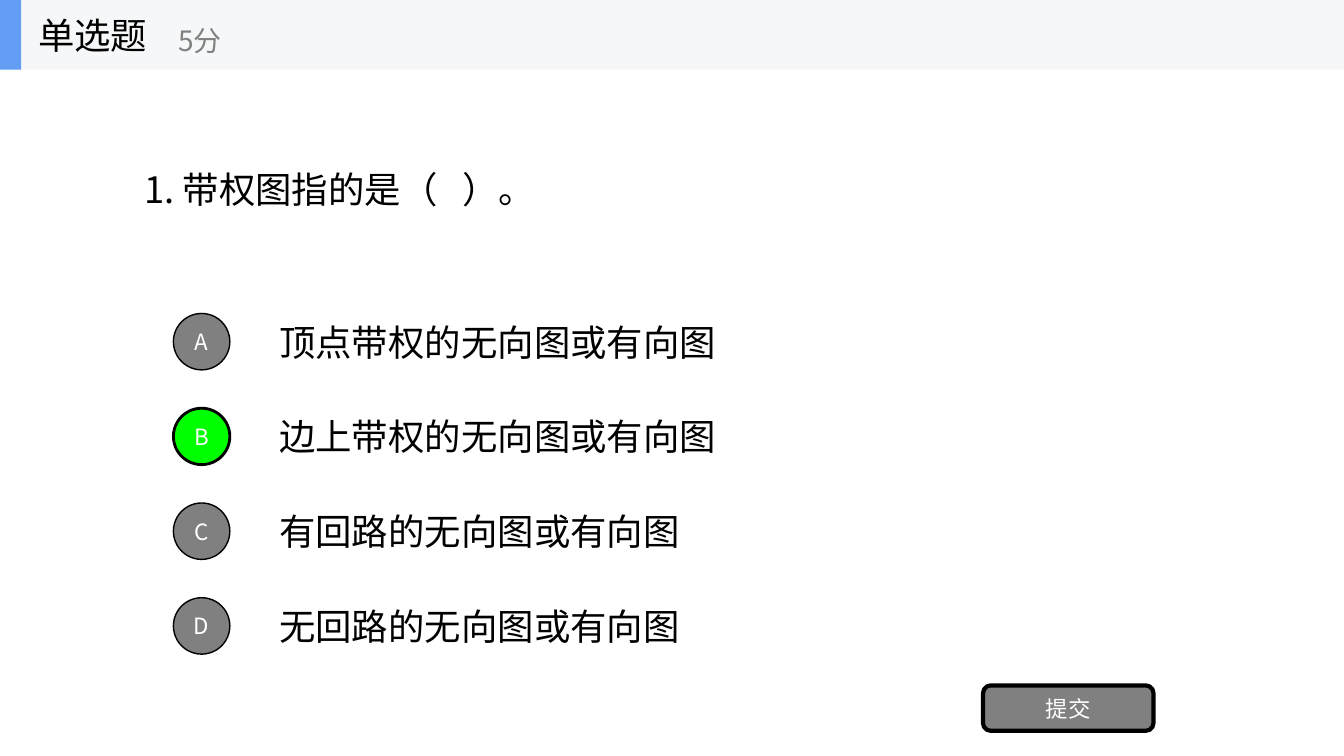
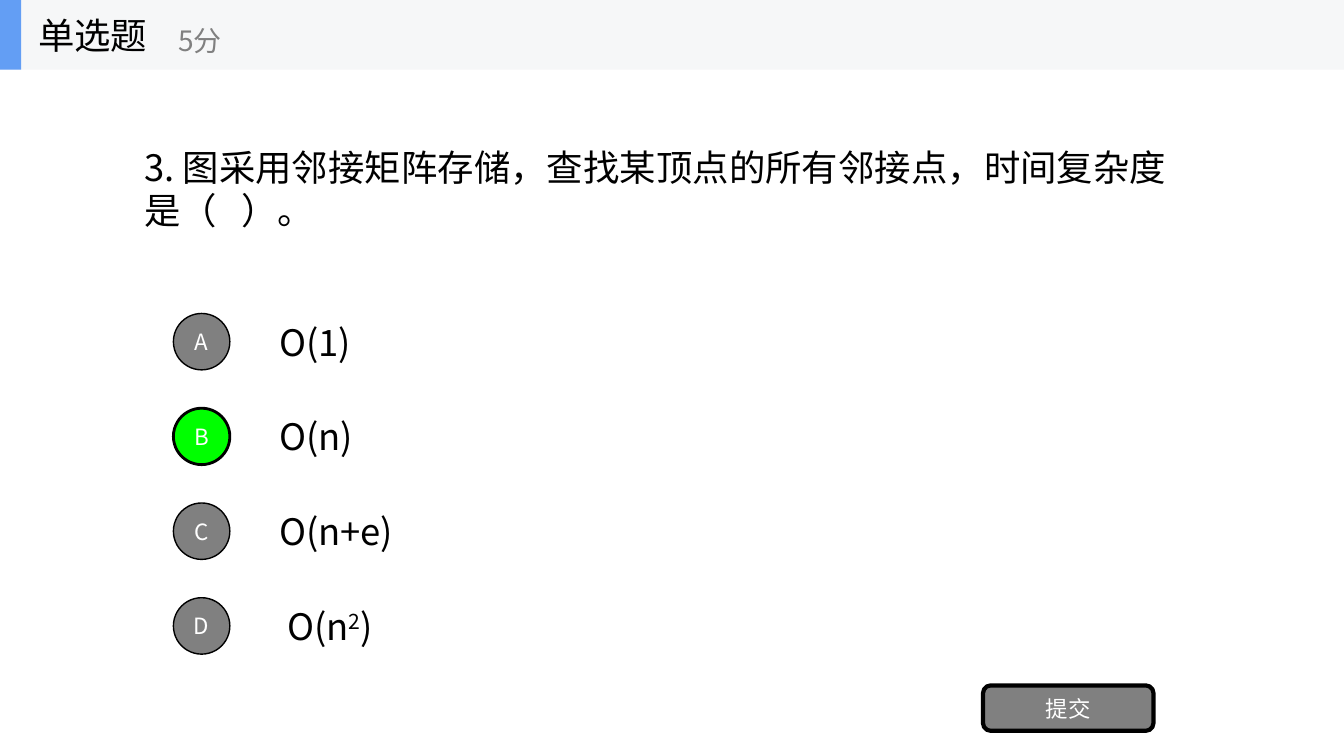
from lxml.etree import SubElement
from pptx import Presentation
from pptx.dml.color import RGBColor
from pptx.enum.shapes import MSO_SHAPE
from pptx.enum.text import MSO_ANCHOR, MSO_AUTO_SIZE, PP_ALIGN
from pptx.oxml.ns import qn
from pptx.util import Inches, Pt

FONT = "Noto Sans CJK SC"
BLACK, WHITE, GRAY = "000000", "FFFFFF", "808080"
GREEN, BLUE, PALE = "00FF00", "639EF4", "F6F7F8"

QUESTIONS = [
    {
        "stem": "1. 带权图指的是（   ）。",
        "options": [
            ["顶点带权的无向图或有向图"],
            ["边上带权的无向图或有向图"],
            ["有回路的无向图或有向图"],
            ["无回路的无向图或有向图"],
        ],
        "answer": "B",
    },
    {
        "stem": "3. 图采用邻接矩阵存储，查找某顶点的所有邻接点，时间复杂度是（   ）。",
        "options": [["O(1)"], ["O(n)"], ["O(n+e)"], [" O(n", "2", ")"]],
        "answer": "B",
    },
]


def color(value):
    return RGBColor.from_string(value)


def apply(target, values):
    for name, value in values.items():
        setattr(target, name, value)


class QuizDeck:
    def __init__(self):
        self.presentation = Presentation()
        apply(self.presentation, {"slide_width": Inches(13.33), "slide_height": Inches(7.5)})
        self.slide = None

    def start_slide(self):
        self.slide = self.presentation.slides.add_slide(self.presentation.slide_layouts[5])

    def fill_text(self, shape, parts, size, text_color, alignment=PP_ALIGN.LEFT, margin=0.1):
        frame = shape.text_frame
        apply(frame, {
            "word_wrap": True,
            "auto_size": MSO_AUTO_SIZE.NONE,
            "vertical_anchor": MSO_ANCHOR.MIDDLE,
            "margin_left": Inches(margin),
            "margin_right": Inches(margin),
        })
        paragraph = frame.paragraphs[0]
        paragraph.alignment = alignment
        for index, part in enumerate(parts):
            run = paragraph.add_run()
            run.text = part
            apply(run.font, {"name": FONT, "size": Pt(size)})
            run.font.color.rgb = color(text_color)
            properties = run.font._element
            SubElement(properties, qn("a:ea")).set("typeface", FONT)
            if index % 2:
                properties.set("baseline", "30000")

    def text(self, shapes, box, parts, size=26, text_color=BLACK):
        shape = shapes.add_textbox(*map(Inches, box))
        self.fill_text(shape, parts, size, text_color)

    def block(self, shapes, kind, box, fill, line_width=0, label=None):
        shape = shapes.add_shape(kind, *map(Inches, box))
        shape.shadow.inherit = False
        shape.fill.solid()
        shape.fill.fore_color.rgb = color(fill)
        if line_width:
            shape.line.color.rgb = color(BLACK)
            shape.line.width = Pt(line_width)
        else:
            shape.line.fill.background()
        if label:
            self.fill_text(shape, [label], 16, WHITE, PP_ALIGN.CENTER, 0)

    def stem(self, text):
        title = self.slide.shapes.title
        box = map(Inches, (1.33, 0.7, 10.67, 2.34))
        apply(title, dict(zip(("left", "top", "width", "height"), box)))
        self.fill_text(title, [text], 26, BLACK)

    def options(self, options, answer):
        top, pitch = 3.04, 0.94
        shapes = self.slide.shapes
        for index, parts in enumerate(options):
            self.text(shapes, (2.67, top + index * pitch, 9.33, 0.7), parts)
        for index, letter in enumerate("ABCD"[:len(options)]):
            fill, line_width = (GREEN, 2) if letter == answer else (GRAY, 1)
            box = (1.72, top + 0.07 + index * pitch, 0.56, 0.56)
            self.block(shapes, MSO_SHAPE.OVAL, box, fill, line_width, letter)

    def submit_button(self):
        box = (9.75, 6.8, 1.69, 0.45)
        self.block(self.slide.shapes, MSO_SHAPE.ROUNDED_RECTANGLE, box, GRAY, 3, "提交")

    def header(self):
        shapes = self.slide.shapes.add_group_shape().shapes
        for width, fill in ((13.33, PALE), (0.21, BLUE)):
            self.block(shapes, MSO_SHAPE.RECTANGLE, (0, 0, width, 0.69), fill)
        self.text(shapes, (0.28, 0, 2.08, 0.69), ["单选题"])
        self.text(shapes, (1.67, 0.12, 2.5, 0.56), ["5分"], 20, GRAY)

    def question(self, stem, options, answer):
        self.start_slide()
        self.stem(stem)
        self.options(options, answer)
        self.submit_button()
        self.header()


def main():
    deck = QuizDeck()
    for question in QUESTIONS:
        deck.question(**question)
    deck.presentation.save("out.pptx")


if __name__ == "__main__":
    main()
